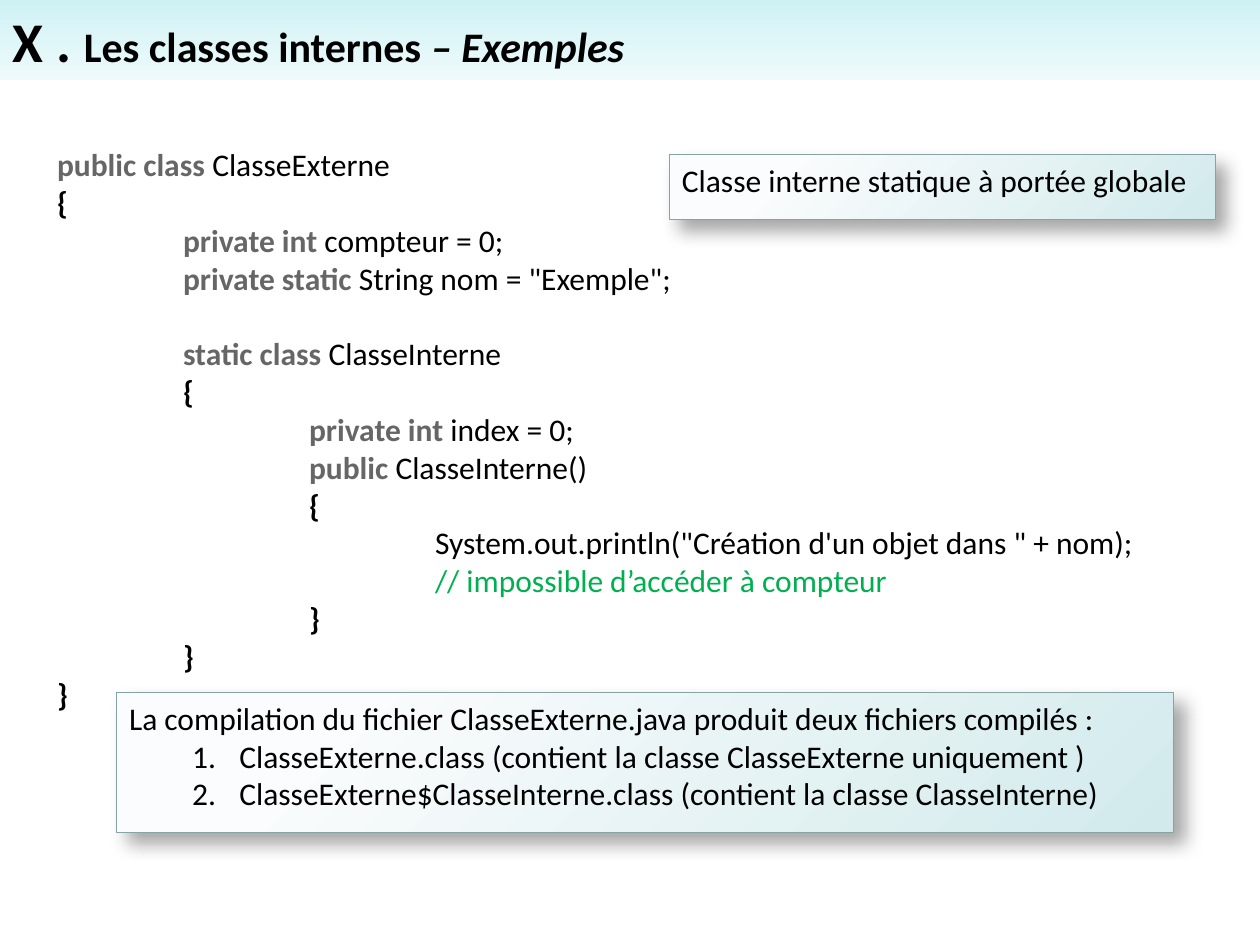
from lxml.etree import SubElement
from pptx import Presentation
from pptx.dml.color import RGBColor
from pptx.enum.shapes import MSO_SHAPE
from pptx.enum.text import MSO_ANCHOR, MSO_AUTO_SIZE, PP_ALIGN
from pptx.oxml import parse_xml
from pptx.oxml.ns import nsdecls, qn
from pptx.util import Pt

COLORS = {
    "text": "000000", "keyword": "666666", "comment": "00B050",
    "band_top": "CEF1F4", "band_middle": "DFF6F8", "band_bottom": "EFFAFB",
    "note_light": "FAFCFD", "note_dark": "D2EAEC", "note_line": "86A4A6",
}
FORMATS = {
    "plain": {"size": Pt(18), "bold": False},
    "brace": {"size": Pt(18), "bold": True},
    "keyword": {"size": Pt(18), "bold": True, "color": "keyword"},
    "comment": {"size": Pt(18), "bold": False, "color": "comment"},
    "number": {"size": Pt(32), "bold": True},
    "heading": {"size": Pt(24), "bold": True},
    "emphasis": {"size": Pt(24), "bold": True, "italic": True},
}
BAND_STOPS = [(0, "band_top"), (50, "band_middle"), (100, "band_bottom")]
NOTE_STOPS = [(20, "note_light"), (100, "note_dark")]
LINEAR = '<a:lin ang="5400000" scaled="0"/>'
CIRCULAR = ('<a:path path="circle"><a:fillToRect l="-15000" t="-15000" '
            'r="115000" b="115000"/></a:path>')
LINE_PITCH = Pt(21.6)
TAB_STEP = 72

# Each line of code: depth, then (style, text) runs; None leaves a line free.
CODE = [
    (0, ("keyword", "public class "), ("plain", "ClasseExterne")),
    (0, ("brace", "{")),
    (1, ("keyword", "private int"), ("plain", " compteur = 0;")),
    (1, ("keyword", "private static"), ("plain", ' String nom = "Exemple";')),
    None,
    (1, ("keyword", "static class "), ("plain", "ClasseInterne")),
    (1, ("brace", "{")),
    (2, ("keyword", "private int"), ("plain", " index = 0;")),
    (2, ("keyword", "public "), ("plain", "ClasseInterne()")),
    (2, ("brace", "{")),
    (3, ("plain", "System.out.println(\"Création d'un objet dans \" + nom);")),
    (3, ("comment", "// impossible d’accéder à compteur")),
    (2, ("brace", "}")),
    (1, ("brace", "}")),
    (0, ("brace", "}")),
]


class SlideBuilder:
    def __init__(self, slide, font_name):
        self.slide = slide
        self.font_name = font_name

    def place(self, shape, left, top, width, height):
        values = {"left": left, "top": top, "width": width, "height": height}
        for name, value in values.items():
            setattr(shape, name, Pt(value))

    def prepare_frame(self, shape):
        frame = shape.text_frame
        values = {
            "word_wrap": True, "auto_size": MSO_AUTO_SIZE.NONE,
            "vertical_anchor": MSO_ANCHOR.TOP,
            "margin_left": Pt(7.2), "margin_right": Pt(7.2),
            "margin_top": Pt(3.6), "margin_bottom": Pt(3.6),
        }
        for name, value in values.items():
            setattr(frame, name, value)
        return frame

    def add_runs(self, paragraph, runs):
        paragraph.alignment = PP_ALIGN.LEFT
        for style, text in runs:
            run = paragraph.add_run()
            run.text = text
            values = {"name": self.font_name, **FORMATS[style]}
            color = values.pop("color", "text")
            for name, value in values.items():
                setattr(run.font, name, value)
            run.font.color.rgb = RGBColor.from_string(COLORS[color])

    def fill_gradient(self, shape, stops, direction):
        stop_xml = "".join(
            f'<a:gs pos="{position * 1000}"><a:srgbClr val="{COLORS[color]}"/></a:gs>'
            for position, color in stops)
        shape.element.spPr.append(parse_xml(
            f'<a:gradFill {nsdecls("a")} rotWithShape="1">'
            f"<a:gsLst>{stop_xml}</a:gsLst>{direction}</a:gradFill>"))

    def cast_shadow(self, shape):
        shape.element.spPr.append(parse_xml(
            f'<a:effectLst {nsdecls("a")}><a:outerShdw blurRad="{Pt(10.2)}" '
            f'dist="{Pt(8)}" dir="2700000" algn="tl" rotWithShape="0">'
            f'<a:srgbClr val="{COLORS["text"]}"><a:alpha val="35000"/></a:srgbClr>'
            "</a:outerShdw></a:effectLst>"))

    def number(self, paragraph):
        paragraph.level = 1
        properties = paragraph._p.get_or_add_pPr()
        properties.set("marL", str(Pt(63)))
        properties.set("indent", str(Pt(-27)))
        SubElement(properties, qn("a:buFont"), typeface="+mj-lt")
        SubElement(properties, qn("a:buAutoNum"), type="arabicPeriod")

    def set_tabs(self, paragraph, count):
        tabs = SubElement(paragraph._p.get_or_add_pPr(), qn("a:tabLst"))
        for step in range(1, count + 1):
            SubElement(tabs, qn("a:tab"), pos=str(Pt(step * TAB_STEP)), algn="l")

    def title(self, runs, *box):
        title = self.slide.shapes.title
        self.place(title, *box)
        self.fill_gradient(title, BAND_STOPS, LINEAR)
        self.add_runs(self.prepare_frame(title).paragraphs[0], runs)

    def code(self, lines, *box):
        text_box = self.slide.shapes.add_textbox(*map(Pt, box))
        frame = self.prepare_frame(text_box)
        paragraph = frame.paragraphs[0]
        for index, line in enumerate(lines):
            if line is None:
                continue
            depth, (style, text), *others = line
            if index:
                paragraph = frame.add_paragraph()
            if depth:
                self.set_tabs(paragraph, depth)
            if index and lines[index - 1] is None:
                paragraph.space_before = LINE_PITCH
            self.add_runs(paragraph, [(style, "\t" * depth + text), *others])

    def note(self, text, items, *box):
        note = self.slide.shapes.add_shape(MSO_SHAPE.RECTANGLE, *map(Pt, box))
        self.fill_gradient(note, NOTE_STOPS, CIRCULAR)
        note.line.color.rgb = RGBColor.from_string(COLORS["note_line"])
        note.line.width = Pt(0.75)
        self.cast_shadow(note)
        frame = self.prepare_frame(note)
        self.add_runs(frame.paragraphs[0], [("plain", text)])
        for item in items:
            paragraph = frame.add_paragraph()
            self.number(paragraph)
            self.add_runs(paragraph, [("plain", item)])


def main():
    presentation = Presentation()
    presentation.slide_width, presentation.slide_height = Pt(720), Pt(540)
    slide = presentation.slides.add_slide(presentation.slide_layouts[5])
    builder = SlideBuilder(slide, "Calibri")
    builder.title(
        [("number", "X . "), ("heading", "Les classes internes "),
         ("emphasis", "– Exemples")], 0, 0, 720, 46)
    builder.code(CODE, 25.5, 79.5, 686, 356.4)
    builder.note(
        "La compilation du fichier ClasseExterne.java produit deux fichiers compilés :",
        ["ClasseExterne.class (contient la classe ClasseExterne uniquement )",
         "ClasseExterne$ClasseInterne.class (contient la classe ClasseInterne)"],
        66.7, 395.8, 604, 80)
    builder.note("Classe interne statique à portée globale", [],
                 382.6, 88.5, 312, 37.2)
    presentation.save("out.pptx")


if __name__ == "__main__":
    main()
